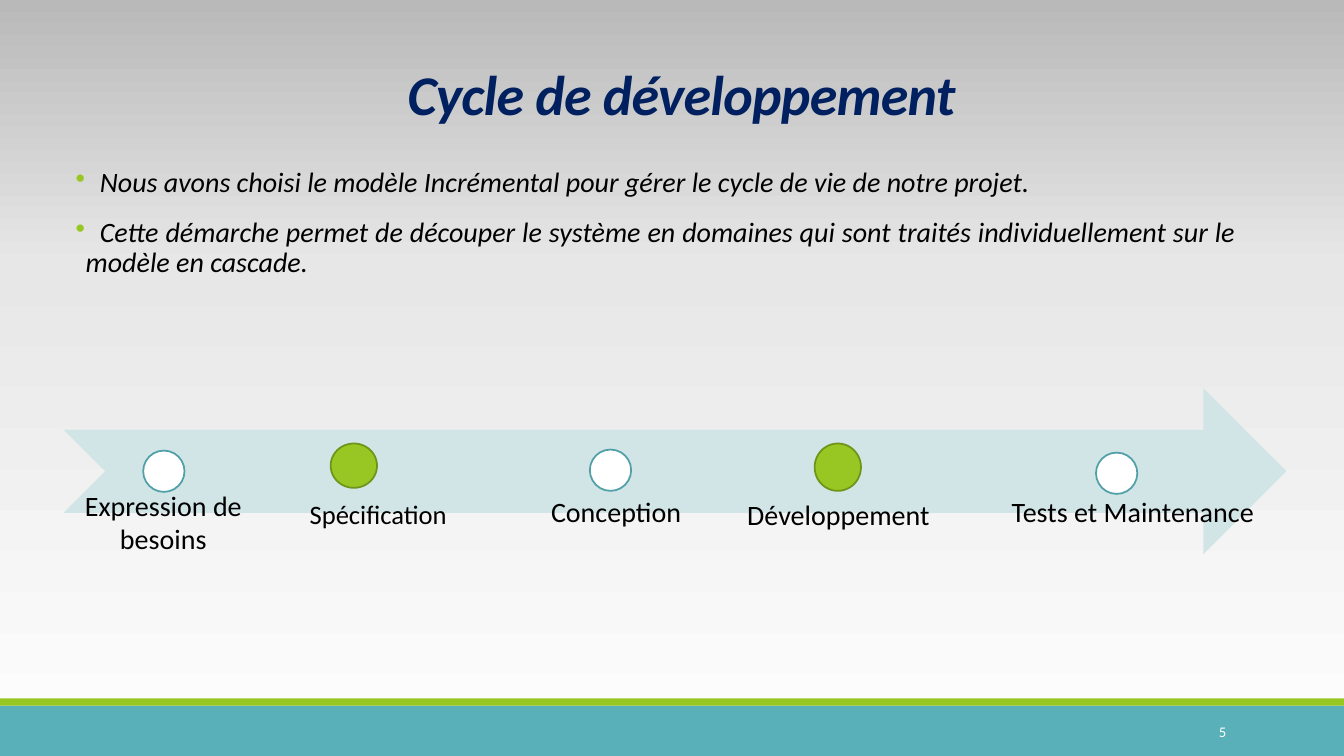
from copy import deepcopy

from lxml import etree
from pptx import Presentation
from pptx.dml.color import RGBColor
from pptx.enum.shapes import MSO_SHAPE
from pptx.enum.text import MSO_ANCHOR, PP_ALIGN
from pptx.oxml.ns import qn
from pptx.util import Inches, Pt

RECTANGLE, ELLIPSE, ARROW = MSO_SHAPE.RECTANGLE, MSO_SHAPE.OVAL, MSO_SHAPE.NOTCHED_RIGHT_ARROW
TOP, MIDDLE, BOTTOM = MSO_ANCHOR.TOP, MSO_ANCHOR.MIDDLE, MSO_ANCHOR.BOTTOM
CENTER, RIGHT, JUSTIFY = PP_ALIGN.CENTER, PP_ALIGN.RIGHT, PP_ALIGN.JUSTIFY
COLORS = {
    "white": "FFFFFF", "black": "000000", "navy": "002060",
    "teal": "59B0B9", "teal line": "51A0A8", "pale teal": "D1E4E6",
    "green": "98C723", "green line": "70931A",
    "light": "FEFEFE", "silver": "E7E7E7", "gray": "B9B9B9",
}


def rgb(name):
    return RGBColor.from_string(COLORS[name])


class SlideBuilder:
    """Draws styled elements on one slide."""

    def __init__(self, slide, font="Calibri"):
        self.slide = slide
        self.font = font

    def background(self, stops, angle):
        fill = self.slide.background.fill
        fill.gradient()
        fill.gradient_angle = angle
        first = fill.gradient_stops[0]._gs
        for _ in stops[2:]:
            first.addnext(deepcopy(first))
        for stop, (position, color) in zip(fill.gradient_stops, stops):
            stop.position = position
            stop.color.rgb = rgb(color)

    def shape(self, kind, box, fill, line=None):
        shape = self.slide.shapes.add_shape(kind, *map(Inches, box))
        shape.shadow.inherit = False
        shape.fill.solid()
        shape.fill.fore_color.rgb = rgb(fill)
        if line:
            shape.line.color.rgb = rgb(line)
            shape.line.width = Pt(1.25)
        else:
            shape.line.fill.background()

    def text(self, text, box, size=20, color="black", align=CENTER, anchor=MIDDLE,
             insets=(0.1, 0.05), line_spacing=1.0, before=0, after=0,
             bold=False, italic=False, tracking=0, bullet=None, tab=0.24):
        frame = self.slide.shapes.add_textbox(*map(Inches, box)).text_frame
        frame.word_wrap = True
        frame.vertical_anchor = anchor
        frame.margin_left = frame.margin_right = Inches(insets[0])
        frame.margin_top = frame.margin_bottom = Inches(insets[1])
        for index, line in enumerate(text.split("\n")):
            paragraph = frame.add_paragraph() if index else frame.paragraphs[0]
            paragraph.alignment = align
            paragraph.line_spacing = line_spacing
            paragraph.space_before, paragraph.space_after = Pt(before), Pt(after)
            run = paragraph.add_run()
            run.text = line
            font = run.font
            font.name, font.size = self.font, Pt(size)
            font.bold, font.italic = bold, italic
            font.color.rgb = rgb(color)
            if tracking:
                font._element.set("spc", str(int(tracking * 100)))
            if bullet:
                self.bullet(paragraph, bullet, tab)

    def bullet(self, paragraph, color, tab, indent=0.1):
        properties = paragraph._p.get_or_add_pPr()
        properties.set("marL", str(Inches(indent)))
        properties.set("indent", str(-Inches(indent)))
        bullet_color = etree.SubElement(properties, qn("a:buClr"))
        etree.SubElement(bullet_color, qn("a:srgbClr"), val=COLORS[color])
        etree.SubElement(properties, qn("a:buChar"), char="•")
        tabs = etree.SubElement(properties, qn("a:tabLst"))
        etree.SubElement(tabs, qn("a:tab"), pos=str(Inches(tab)), algn="l")


presentation = Presentation()
presentation.slide_width, presentation.slide_height = Inches(13.33), Inches(7.5)
builder = SlideBuilder(presentation.slides.add_slide(presentation.slide_layouts[6]))

builder.background([(0, "light"), (0.65, "silver"), (1, "gray")], angle=90)
builder.shape(RECTANGLE, (0, 7, 13.33, 0.5), "teal")
builder.shape(RECTANGLE, (0, 6.93, 13.33, 0.07), "green")
builder.text("5", (10.83, 7.06, 1.43, 0.4), size=10.5, color="white", align=RIGHT)
builder.text("Cycle de développement", (1.26, 0.27, 11, 1.04), size=40, color="navy",
             anchor=BOTTOM, line_spacing=0.85, bold=True, italic=True, tracking=-0.5)
builder.text("\tNous avons choisi le modèle Incrémental pour gérer le cycle de vie de notre projet.\n"
             "\tCette démarche permet de découper le système en domaines qui sont traités "
             "individuellement sur le modèle en cascade.",
             (0.75, 1.62, 11.51, 1.95), align=JUSTIFY, anchor=TOP, insets=(0, 0.05),
             line_spacing=0.9, before=12, after=2, italic=True, bullet="green")

builder.shape(ARROW, (0.63, 3.85, 12.13, 1.65), "pale teal")
WHITE_DOT, GREEN_DOT = ("white", "teal line"), ("green", "green line")
PLAIN = {}
TIGHT = {"insets": (0.16, 0.16), "line_spacing": 0.9}
STEPS = [
    ("Expression de besoins", (0.71, 4.87, 1.82, 0.61), PLAIN,
     (1.42, 4.47, 0.41, 0.41), WHITE_DOT),
    ("Spécification", (2.74, 4.8, 2.02, 0.6), {**TIGHT, "anchor": BOTTOM, "size": 19},
     (3.28, 4.4, 0.46, 0.44), GREEN_DOT),
    ("Conception", (5.15, 4.85, 1.92, 0.45), PLAIN,
     (5.85, 4.46, 0.41, 0.41), WHITE_DOT),
    ("Développement", (7.09, 4.82, 2.45, 0.5), {**TIGHT, "anchor": TOP},
     (8.08, 4.4, 0.46, 0.47), GREEN_DOT),
    ("Tests et Maintenance", (9.86, 4.86, 2.75, 0.53), {**TIGHT, "anchor": BOTTOM},
     (10.87, 4.49, 0.41, 0.41), WHITE_DOT),
]
for label, label_box, label_format, dot_box, dot_colors in STEPS:
    builder.shape(ELLIPSE, dot_box, *dot_colors)
    builder.text(label, label_box, **label_format)

presentation.save("out.pptx")
